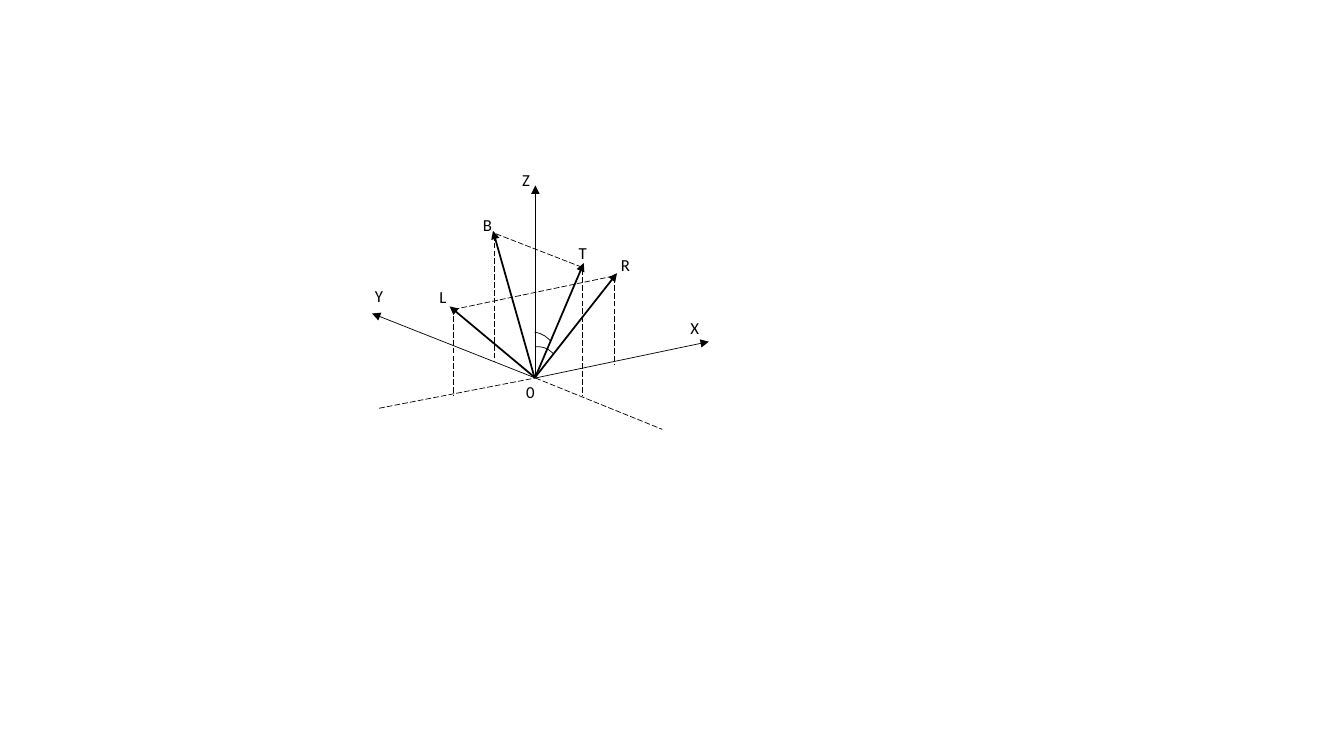
"""Build a slide showing four vectors in a three-axis coordinate system."""
from dataclasses import dataclass

from lxml import etree
from pptx import Presentation
from pptx.dml.color import RGBColor
from pptx.enum.dml import MSO_LINE
from pptx.enum.shapes import MSO_CONNECTOR, MSO_SHAPE
from pptx.enum.text import MSO_AUTO_SIZE
from pptx.oxml.ns import qn
from pptx.util import Emu, Pt

STRAIGHT = MSO_CONNECTOR.STRAIGHT
ARC = MSO_SHAPE.ARC
LONG_DASH = MSO_LINE.LONG_DASH
FIT_SHAPE = MSO_AUTO_SIZE.SHAPE_TO_FIT_TEXT
PX = 9144
BLANK_LAYOUT = 6
ARC_UNITS_PER_DEGREE = 0.6


@dataclass(frozen=True)
class Theme:
    """Hold the colours, type and line widths of the slide."""

    ink: RGBColor = RGBColor(0, 0, 0)
    font: str = "Calibri"
    label_size: Pt = Pt(12)
    thin: Pt = Pt(0.5)
    bold: Pt = Pt(1.25)


THEME = Theme()
LABEL_FORMAT = {"name": THEME.font, "size": THEME.label_size}
ORIGIN = (531, 375)
VECTOR_ORIGIN = (531, 374)
LABEL_HEIGHT = 30
ARC_SIZE = (40, 34)

AXIS_TIPS = [(703, 339), (531, 184), (369, 311)]
VECTORS = [
    (VECTOR_ORIGIN, (612, 271)),
    (ORIGIN, (446, 304)),
    (VECTOR_ORIGIN, (579, 261)),
    ((530, 374), (489, 229)),
]
DASHED_LINES = [
    ((376, 405), ORIGIN),
    (ORIGIN, (657, 426)),
    ((450, 307), (608, 274)),
    ((492, 232), (577, 265)),
]
DROPS = [(609, 275, 361), (450, 306, 393), (578, 267, 393), (490, 233, 358)]
LABELS = [
    ("Z", 508, 163, 28),
    ("Y", 362, 279, 28),
    ("X", 675, 310, 29),
    ("B", 469, 208, 29),
    ("T", 564, 236, 28),
    ("R", 606, 248, 29),
    ("L", 426, 280, 27),
    ("0", 512, 374, 29),
]
ANGLES = [
    ((512, 344), 350.7, (275.71, 340.57)),
    ((510, 330), 20.1, (250.69, 310.21)),
]


def emu(*lengths):
    """Turn px lengths into EMU."""
    return [Emu(length * PX) for length in lengths]


def set_values(target, values):
    """Set each attribute of the target from a dict."""
    for name, value in values.items():
        setattr(target, name, value)


def add_line(shapes, start, end, width=THEME.thin, dashed=False, arrow=False):
    """Add a straight line, optionally dashed or with an arrowhead."""
    line = shapes.add_connector(STRAIGHT, *emu(*start, *end))
    line.line.color.rgb = THEME.ink
    line.line.width = width
    if dashed:
        line.line.dash_style = LONG_DASH
    if arrow:
        outline = line.line._get_or_add_ln()
        etree.SubElement(outline, qn("a:tailEnd"), type="triangle")
    etree.SubElement(line._element.spPr, qn("a:effectLst"))


def add_label(shapes, text, left, top, width):
    """Add a one-letter label."""
    box = shapes.add_textbox(*emu(left, top, width, LABEL_HEIGHT))
    set_values(box.text_frame, {"word_wrap": False, "auto_size": FIT_SHAPE})
    span = box.text_frame.paragraphs[0].add_run()
    span.text = text
    set_values(span.font, LABEL_FORMAT)
    span.font.color.rgb = THEME.ink


def add_angle(shapes, corner, rotation, sweep):
    """Add an angle mark as a rotated arc between two degrees."""
    arc = shapes.add_shape(ARC, *emu(*corner, *ARC_SIZE))
    arc.rotation = rotation
    for index, degrees in enumerate(sweep):
        arc.adjustments[index] = degrees * ARC_UNITS_PER_DEGREE
    arc.fill.background()
    arc.line.color.rgb = THEME.ink
    arc.line.width = THEME.thin
    arc.shadow.inherit = False


def main():
    """Draw the diagram and save the deck."""
    deck = Presentation()
    deck.slide_width, deck.slide_height = emu(1333, 750)
    page = deck.slides.add_slide(deck.slide_layouts[BLANK_LAYOUT])
    diagram = page.shapes.add_group_shape().shapes
    for tip in AXIS_TIPS:
        add_line(diagram, ORIGIN, tip, arrow=True)
    for start, end in DASHED_LINES:
        add_line(diagram, start, end, dashed=True)
    for x, top, bottom in DROPS:
        add_line(diagram, (x, top), (x, bottom), dashed=True)
    for start, tip in VECTORS:
        add_line(diagram, start, tip, THEME.bold, arrow=True)
    for label in LABELS:
        add_label(diagram, *label)
    for angle in ANGLES:
        add_angle(page.shapes, *angle)
    deck.save("out.pptx")


if __name__ == "__main__":
    main()
